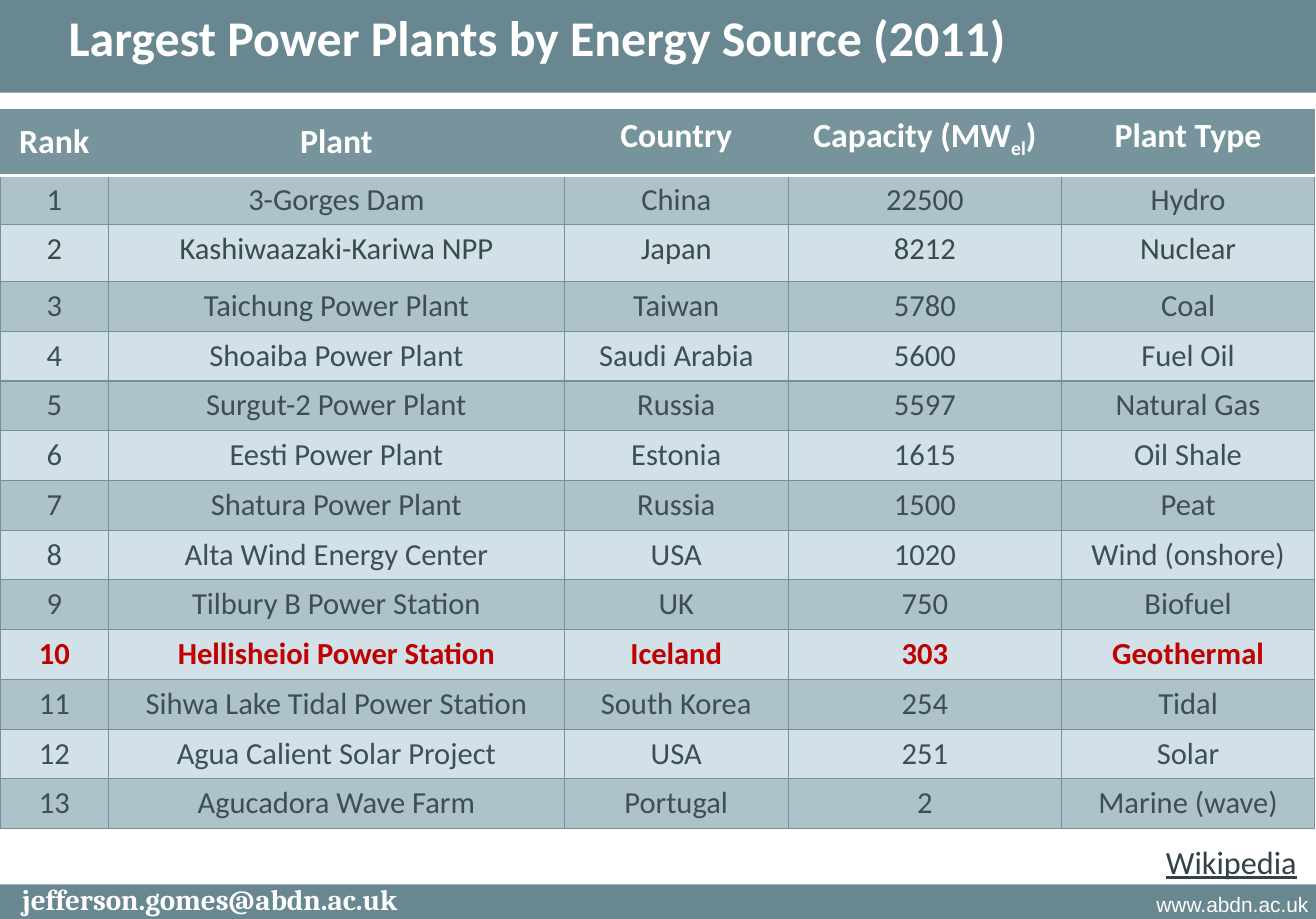
from dataclasses import dataclass

from lxml.etree import SubElement
from pptx import Presentation
from pptx.dml.color import RGBColor
from pptx.enum.shapes import MSO_SHAPE
from pptx.enum.text import MSO_ANCHOR, PP_ALIGN
from pptx.oxml.ns import qn
from pptx.slide import Slide
from pptx.table import _Cell
from pptx.text.text import _Paragraph
from pptx.util import Cm, Pt


@dataclass(frozen=True)
class Theme:
    bar: str = "688791"
    header: str = "77949D"
    dark_band: str = "ADC2C9"
    light_band: str = "D1E1E7"
    grid: str = "73919A"
    white: str = "FFFFFF"
    body: str = "3D4F55"
    body_dark: str = "3A4B50"
    highlight: str = "C00000"
    source: str = "334247"
    font: str = "Calibri"
    email_font: str = "Cambria"
    site_font: str = "Arial"
    title_size: float = 31
    header_size: float = 21
    body_size: float = 19
    source_size: float = 20
    email_size: float = 18
    site_size: float = 13
    grid_width: float = 0.75
    rule_width: float = 2


THEME = Theme()


@dataclass(frozen=True)
class TextStyle:
    size: float
    color: str
    font: str = THEME.font
    bold: bool = False
    underline: bool = False


@dataclass(frozen=True)
class Box:
    """Position and size in centimetres."""
    left: float
    top: float
    width: float
    height: float


@dataclass(frozen=True)
class Label:
    text: str
    box: Box
    style: TextStyle
    alignment: PP_ALIGN = PP_ALIGN.CENTER
    line_spacing: float = 1.0
    wrap: bool = True


@dataclass(frozen=True)
class Column:
    title: str
    width: float
    anchor: MSO_ANCHOR = MSO_ANCHOR.TOP
    subscript: str = ""
    ending: str = ""


@dataclass(frozen=True)
class Plant:
    name: str
    country: str
    capacity: int
    kind: str
    color: str = THEME.body
    bold: bool = False
    height: float = 1.09


SLIDE_WIDTH, SLIDE_HEIGHT = 28.85, 20.14
TABLE_LEFT, TABLE_TOP = 0, 2.39
HEADER_HEIGHT = 1.45

BARS = [Box(0, 19.38, SLIDE_WIDTH, 0.76), Box(0, 0, SLIDE_WIDTH, 2.03)]

LABELS = [
    Label("www.abdn.ac.uk", Box(21.46, 19.38, 7.5, 0.96),
          TextStyle(THEME.site_size, THEME.white, THEME.site_font), PP_ALIGN.RIGHT),
    Label("jefferson.gomes@abdn.ac.uk", Box(0, 19.25, 9.2, 0.89),
          TextStyle(THEME.email_size, THEME.white, THEME.email_font, bold=True),
          line_spacing=0.9),
    Label("Largest Power Plants by Energy Source (2011)", Box(0.02, 0, 23.5, 1.6),
          TextStyle(THEME.title_size, THEME.white, bold=True)),
    Label("Wikipedia", Box(25.28, 18.31, 3.45, 1.14),
          TextStyle(THEME.source_size, THEME.source, underline=True),
          PP_ALIGN.LEFT, wrap=False),
]

COLUMNS = [
    Column("Rank", 2.38, MSO_ANCHOR.MIDDLE),
    Column("Plant", 9.99, MSO_ANCHOR.MIDDLE),
    Column("Country", 4.91),
    Column("Capacity (MW", 5.99, subscript="el", ending=")"),
    Column("Plant Type", 5.55),
]

PLANTS = [
    Plant("3-Gorges Dam", "China", 22500, "Hydro"),
    Plant("Kashiwaazaki-Kariwa NPP", "Japan", 8212, "Nuclear",
          color=THEME.body_dark, height=1.24),
    Plant("Taichung Power Plant", "Taiwan", 5780, "Coal"),
    Plant("Shoaiba Power Plant", "Saudi Arabia", 5600, "Fuel Oil"),
    Plant("Surgut-2 Power Plant", "Russia", 5597, "Natural Gas"),
    Plant("Eesti Power Plant", "Estonia", 1615, "Oil Shale"),
    Plant("Shatura Power Plant", "Russia", 1500, "Peat"),
    Plant("Alta Wind Energy Center", "USA", 1020, "Wind (onshore)"),
    Plant("Tilbury B Power Station", "UK", 750, "Biofuel"),
    Plant("Hellisheioi Power Station", "Iceland", 303, "Geothermal",
          color=THEME.highlight, bold=True),
    Plant("Sihwa Lake Tidal Power Station", "South Korea", 254, "Tidal"),
    Plant("Agua Calient Solar Project", "USA", 251, "Solar"),
    Plant("Agucadora Wave Farm", "Portugal", 2, "Marine (wave)"),
]


def add_run(paragraph: _Paragraph, text: str, style: TextStyle, baseline: int = 0) -> None:
    """Append a run; baseline is a percentage, negative for a subscript."""
    run = paragraph.add_run()
    run.text = text
    font = run.font
    font.name, font.size, font.bold = style.font, Pt(style.size), style.bold
    font.underline = style.underline
    font.color.rgb = RGBColor.from_string(style.color)
    if baseline:
        run._r.get_or_add_rPr().set("baseline", str(baseline * 1000))


def add_bar(slide: Slide, box: Box) -> None:
    bar = slide.shapes.add_shape(MSO_SHAPE.RECTANGLE, Cm(box.left), Cm(box.top),
                                 Cm(box.width), Cm(box.height))
    bar.shadow.inherit = False
    bar.fill.solid()
    bar.fill.fore_color.rgb = RGBColor.from_string(THEME.bar)
    bar.line.fill.background()


def add_label(slide: Slide, label: Label) -> None:
    box = label.box
    shape = slide.shapes.add_textbox(Cm(box.left), Cm(box.top), Cm(box.width), Cm(box.height))
    frame = shape.text_frame
    frame.word_wrap = label.wrap
    frame.margin_left = frame.margin_right = Cm(0.28)
    frame.margin_top = frame.margin_bottom = Cm(0.15)
    paragraph = frame.paragraphs[0]
    paragraph.alignment = label.alignment
    paragraph.line_spacing = label.line_spacing
    add_run(paragraph, label.text, label.style)


def add_border(cell: _Cell, side: str, color: str, width: float) -> None:
    """Draw one side of a cell: L, R, T or B, called in that order."""
    line = SubElement(cell._tc.get_or_add_tcPr(), qn(f"a:ln{side}"), w=str(Pt(width)))
    SubElement(SubElement(line, qn("a:solidFill")), qn("a:srgbClr"), val=color)


def format_cell(cell: _Cell, fill: str, white_sides: str = "") -> _Paragraph:
    """Set margins, borders and fill, and return the centred paragraph."""
    cell.margin_left = cell.margin_right = Cm(0.28)
    cell.margin_top = cell.margin_bottom = Cm(0.13)
    for side in "LRTB":
        if side in white_sides:
            add_border(cell, side, THEME.white, THEME.rule_width)
        else:
            add_border(cell, side, THEME.grid, THEME.grid_width)
    cell.fill.solid()
    cell.fill.fore_color.rgb = RGBColor.from_string(fill)
    paragraph = cell.text_frame.paragraphs[0]
    paragraph.alignment = PP_ALIGN.CENTER
    return paragraph


def add_plant_table(slide: Slide) -> None:
    width = sum(column.width for column in COLUMNS)
    height = HEADER_HEIGHT + sum(plant.height for plant in PLANTS)
    table = slide.shapes.add_table(len(PLANTS) + 1, len(COLUMNS), Cm(TABLE_LEFT),
                                   Cm(TABLE_TOP), Cm(width), Cm(height)).table
    table.horz_banding = False
    table.rows[0].height = Cm(HEADER_HEIGHT)
    header_style = TextStyle(THEME.header_size, THEME.white, bold=True)
    for index, column in enumerate(COLUMNS):
        table.columns[index].width = Cm(column.width)
        cell = table.cell(0, index)
        cell.vertical_anchor = column.anchor
        paragraph = format_cell(cell, THEME.header, white_sides="B")
        add_run(paragraph, column.title, header_style)
        if column.subscript:
            add_run(paragraph, column.subscript, header_style, baseline=-25)
            add_run(paragraph, column.ending, header_style)
    for rank, plant in enumerate(PLANTS, start=1):
        table.rows[rank].height = Cm(plant.height)
        fill = THEME.dark_band if rank % 2 else THEME.light_band
        style = TextStyle(THEME.body_size, plant.color, bold=plant.bold)
        values = (rank, plant.name, plant.country, plant.capacity, plant.kind)
        for index, value in enumerate(values):
            paragraph = format_cell(table.cell(rank, index), fill, "T" if rank == 1 else "")
            add_run(paragraph, str(value), style)


def main() -> None:
    presentation = Presentation()
    presentation.slide_width, presentation.slide_height = Cm(SLIDE_WIDTH), Cm(SLIDE_HEIGHT)
    slide = presentation.slides.add_slide(presentation.slide_layouts[6])
    for bar in BARS:
        add_bar(slide, bar)
    add_plant_table(slide)
    for label in LABELS:
        add_label(slide, label)
    presentation.save("out.pptx")


if __name__ == "__main__":
    main()
